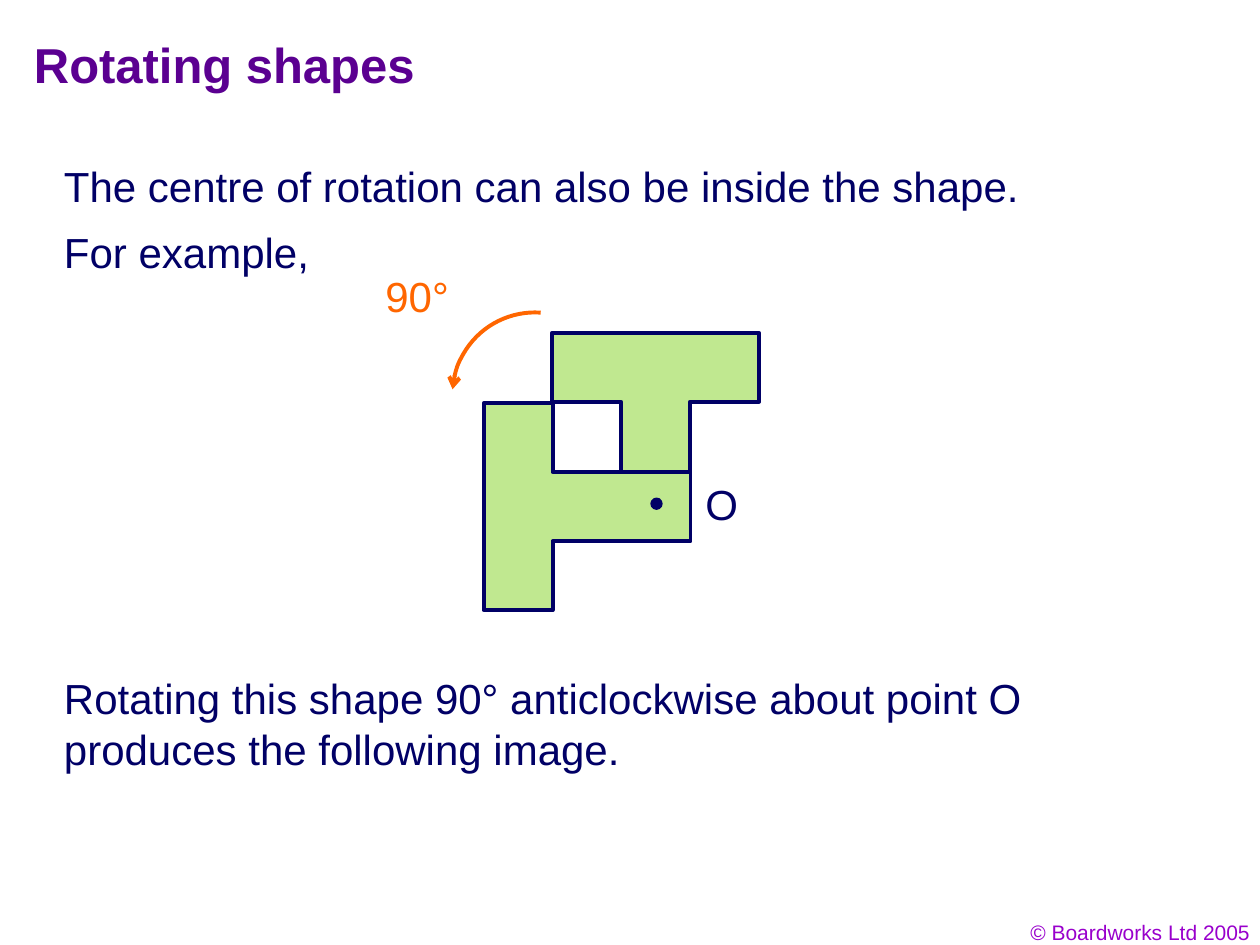
from dataclasses import dataclass

from lxml import etree
from pptx import Presentation
from pptx.dml.color import RGBColor
from pptx.enum.shapes import MSO_SHAPE
from pptx.enum.text import MSO_ANCHOR, PP_ALIGN
from pptx.oxml.ns import qn
from pptx.shapes.autoshape import Shape
from pptx.slide import Slide
from pptx.text.text import TextFrame
from pptx.util import Cm, Pt

ARC, OVAL = MSO_SHAPE.ARC, MSO_SHAPE.OVAL
LEFT, RIGHT = PP_ALIGN.LEFT, PP_ALIGN.RIGHT
TOP, MIDDLE = MSO_ANCHOR.TOP, MSO_ANCHOR.MIDDLE
TITLE_ONLY = 5


@dataclass(frozen=True)
class Theme:
    font: str = "Arial"
    title: RGBColor = RGBColor(0x5B, 0x00, 0x91)
    body: RGBColor = RGBColor(0x01, 0x00, 0x66)
    outline: RGBColor = RGBColor(0x00, 0x00, 0x66)
    fill: RGBColor = RGBColor(0xC0, 0xE8, 0x90)
    turn: RGBColor = RGBColor(0xFF, 0x66, 0x00)
    copyright: RGBColor = RGBColor(0x99, 0x00, 0xCC)
    title_size: int = 28
    body_size: int = 24
    copyright_size: int = 12
    line_width: float = 2.25


THEME = Theme()


@dataclass(frozen=True)
class Label:
    """A text box, measured in centimetres."""
    text: str
    left: float
    top: float
    width: float
    height: float
    color: RGBColor = THEME.body
    size: int = THEME.body_size
    alignment: PP_ALIGN = LEFT
    wrap: bool = True


LABELS = [
    Label("© Boardworks Ltd 2005", 19.53, 18.42, 5.92, 0.76,
          THEME.copyright, THEME.copyright_size, RIGHT),
    Label("The centre of rotation can also be inside the shape.",
          1.04, 3.12, 23.27, 1.27),
    Label("For example,", 1.04, 4.45, 23.27, 1.27),
    Label("Rotating this shape 90° anticlockwise about point O "
          "produces the following image.", 1.04, 13.44, 23.47, 2.29),
    Label("90°", 7.52, 5.33, 1.78, 1.27, THEME.turn, wrap=False),
    Label("O", 13.97, 9.53, 1.17, 1.27, wrap=False),
]

CELL = 1.39
CELLS_ACROSS = 3
T_CORNERS = [(0, 0), (0, 1), (1, 1), (1, 3), (2, 3), (2, 1), (3, 1), (3, 0)]
ROTATED_CORNERS = [(y, CELLS_ACROSS - x) for x, y in T_CORNERS]


def write_text(frame: TextFrame, text: str, color: RGBColor, size: int,
               bold: bool = False, alignment: PP_ALIGN = LEFT,
               anchor: MSO_ANCHOR = TOP, wrap: bool = True) -> None:
    frame.text = text
    frame.word_wrap = wrap
    frame.vertical_anchor = anchor
    paragraph = frame.paragraphs[0]
    paragraph.alignment = alignment
    font = paragraph.runs[0].font
    formats = {"name": THEME.font, "size": Pt(size), "bold": bold}
    for name, value in formats.items():
        setattr(font, name, value)
    font.color.rgb = color


def add_title(slide: Slide, text: str) -> None:
    title = slide.shapes.title
    box = {"left": 0.43, "top": 0.43, "width": 21.59, "height": 1.7}
    for name, value in box.items():
        setattr(title, name, Cm(value))
    write_text(title.text_frame, text, THEME.title, THEME.title_size,
               bold=True, anchor=MIDDLE)


def add_label(slide: Slide, label: Label) -> None:
    box = slide.shapes.add_textbox(Cm(label.left), Cm(label.top),
                                   Cm(label.width), Cm(label.height))
    write_text(box.text_frame, label.text, label.color, label.size,
               alignment=label.alignment, wrap=label.wrap)


def draw_line(shape: Shape, color: RGBColor) -> None:
    shape.line.color.rgb = color
    shape.line.width = Pt(THEME.line_width)


def add_t_shape(slide: Slide, left: float, top: float,
                corners: list[tuple[int, int]]) -> None:
    points = [(Cm(left + x * CELL), Cm(top + y * CELL)) for x, y in corners]
    builder = slide.shapes.build_freeform(*points[0])
    builder.add_line_segments(points[1:], close=True)
    shape = builder.convert_to_shape()
    shape.shadow.inherit = False
    shape.fill.solid()
    shape.fill.fore_color.rgb = THEME.fill
    draw_line(shape, THEME.outline)


def add_centre_dot(slide: Slide, left: float, top: float, size: float) -> None:
    dot = slide.shapes.add_shape(OVAL, Cm(left), Cm(top), Cm(size), Cm(size))
    dot.shadow.inherit = False
    dot.fill.solid()
    dot.fill.fore_color.rgb = THEME.outline
    dot.line.fill.background()


def add_turn_arrow(slide: Slide, left: float, top: float, size: float,
                   start: int, end: int) -> None:
    """Draw an arc between two clockwise angles, with its arrowhead at start."""
    arc = slide.shapes.add_shape(ARC, Cm(left), Cm(top), Cm(size), Cm(size))
    arc.shadow.inherit = False
    arc.fill.background()
    for index, degrees in enumerate((start, end)):
        arc.adjustments[index] = degrees * 0.6
    draw_line(arc, THEME.turn)
    line = arc.line._get_or_add_ln()
    etree.SubElement(line, qn("a:headEnd"), type="arrow")


def main() -> None:
    presentation = Presentation()
    presentation.slide_width = Cm(25.4)
    presentation.slide_height = Cm(19.05)
    slide = presentation.slides.add_slide(
        presentation.slide_layouts[TITLE_ONLY])
    add_title(slide, "Rotating shapes")
    add_t_shape(slide, 11.13, 6.71, T_CORNERS)
    add_turn_arrow(slide, 9.12, 6.3, 3.33, start=184, end=274)
    add_t_shape(slide, 9.75, 8.13, ROTATED_CORNERS)
    add_centre_dot(slide, 13.11, 10.03, 0.25)
    for label in LABELS:
        add_label(slide, label)
    presentation.save("out.pptx")


if __name__ == "__main__":
    main()
